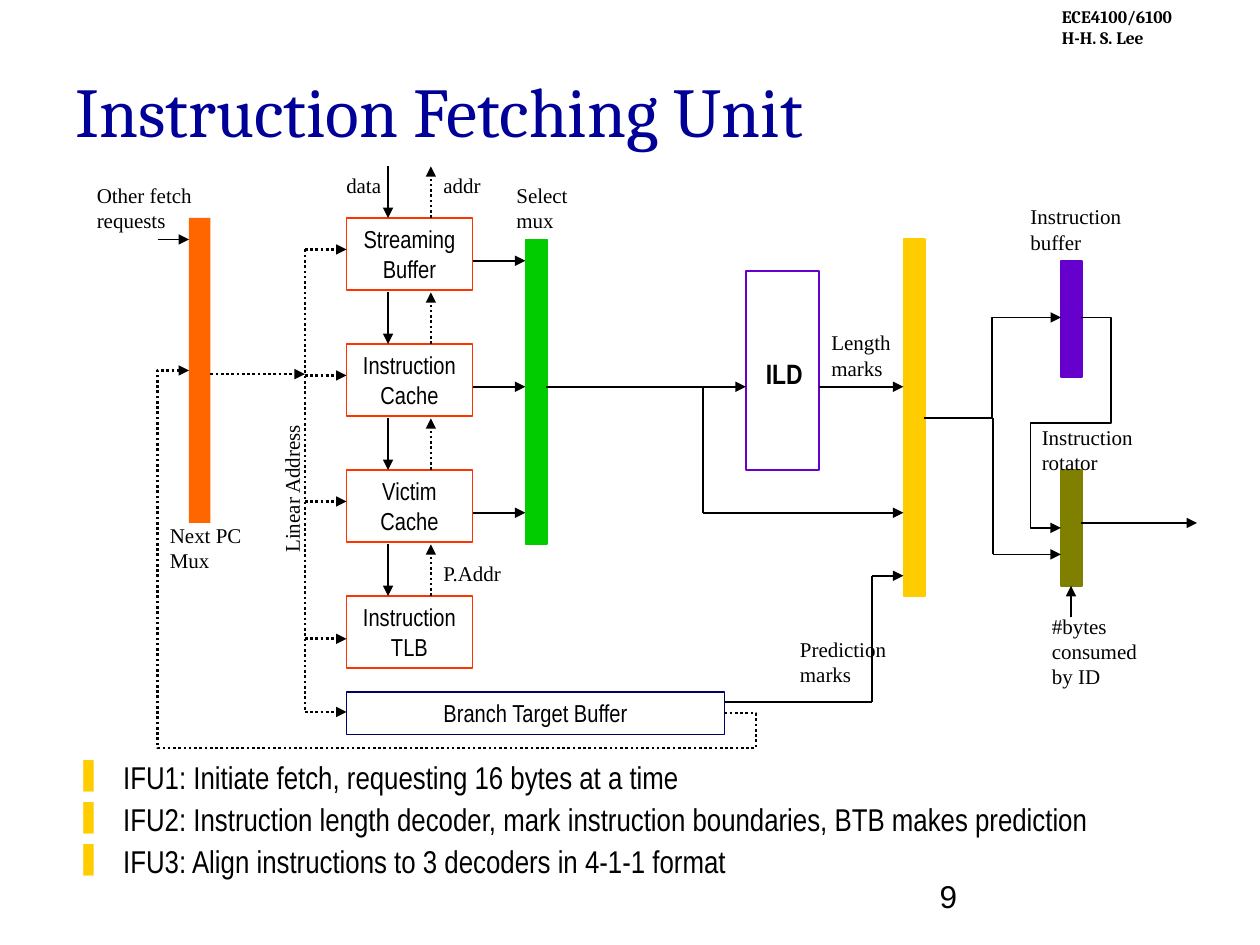
from dataclasses import dataclass
from typing import Any

from pptx import Presentation
from pptx.dml.color import RGBColor
from pptx.enum.dml import MSO_LINE_DASH_STYLE as Dash
from pptx.enum.shapes import MSO_CONNECTOR as Connector, MSO_SHAPE as Shape
from pptx.enum.text import MSO_ANCHOR as Anchor, MSO_AUTO_SIZE as AutoSize, PP_ALIGN as Align
from pptx.oxml.ns import qn
from pptx.oxml.xmlchemy import OxmlElement
from pptx.util import Inches, Pt

COLOURS = {
    "black": "000000", "title": "000099", "cache": "FF3300", "branch": "000066",
    "next_pc": "FF6600", "select": "00CC00", "gold": "FFCC00", "purple": "6600CC",
    "rotator": "808000",
}
FORMATS = {
    "header": {"name": "Cambria", "size": Pt(10), "bold": True},
    "title": {"name": "Cambria", "size": Pt(40)},
    "bullet": {"name": "Arial Narrow", "size": Pt(18)},
    "block": {"name": "Arial Narrow", "size": Pt(14)},
    "decoder": {"name": "Arial Narrow", "size": Pt(16), "bold": True},
    "label": {"name": "Times New Roman", "size": Pt(12)},
    "number": {"name": "Arial", "size": Pt(18)},
}
BAR = 0.17


def colour(name):
    return RGBColor.from_string(COLOURS[name])


def add_child(parent, tag, **attributes):
    child = OxmlElement(tag)
    for name, value in attributes.items():
        child.set(name, value)
    parent.append(child)
    return child


def write(shape, text, style, ink="black", wrap=True, grow=True, **layout):
    frame = shape.text_frame
    frame.text = text
    settings = {
        "word_wrap": wrap,
        "vertical_anchor": Anchor.TOP,
        "auto_size": AutoSize.SHAPE_TO_FIT_TEXT if grow else AutoSize.NONE,
    }
    for name, value in {**settings, **layout}.items():
        setattr(frame, name, value)
    for paragraph in frame.paragraphs:
        font = paragraph.runs[0].font
        font.color.rgb = colour(ink)
        for name, value in FORMATS[style].items():
            setattr(font, name, value)
    return frame


@dataclass
class Region:
    slide: Any
    left: float
    top: float

    def point(self, x, y):
        return Inches(self.left + x), Inches(self.top + y)

    def text(self, text, x, y, width, height, style="label", rotation=0, **options):
        box = self.slide.shapes.add_textbox(*self.point(x, y), Inches(width), Inches(height))
        box.rotation = rotation
        return write(box, text, style, **options)

    def block(self, x, y, width, height, fill=None, line=None, text=None):
        shape = self.slide.shapes.add_shape(
            Shape.RECTANGLE, *self.point(x, y), Inches(width), Inches(height))
        shape.shadow.inherit = False
        if fill:
            shape.fill.solid()
            shape.fill.fore_color.rgb = colour(fill)
        else:
            shape.fill.background()
        if line:
            shape.line.color.rgb = colour(line)
            shape.line.width = Pt(0.99)
        else:
            shape.line.fill.background()
        if text:
            frame = write(shape, text, "block")
            frame.paragraphs[0].alignment = Align.CENTER

    def wire(self, start, end, dotted=False, arrow=True, bends=()):
        kind = Connector.ELBOW if bends else Connector.STRAIGHT
        connector = self.slide.shapes.add_connector(kind, *self.point(*start), *self.point(*end))
        connector.line.color.rgb = colour("black")
        connector.line.width = Pt(1.5 if dotted else 0.99)
        if dotted:
            connector.line.dash_style = Dash.ROUND_DOT
        if arrow:
            add_child(connector.line._get_or_add_ln(), "a:tailEnd", type="triangle")
        properties = connector._element.spPr
        if bends:
            geometry = properties.find(qn("a:prstGeom"))
            geometry.set("prst", f"bentConnector{len(bends) + 2}")
            guides = geometry.find(qn("a:avLst"))
            for index, bend in enumerate(bends, 1):
                add_child(guides, "a:gd", name=f"adj{index}", fmla=f"val {round(bend * 100000)}")
        add_child(properties, "a:effectLst")


def add_headings(slide):
    page = Region(slide, 0, 0)
    page.text("ECE4100/6100\nH-H. S. Lee", 8.33, 0, 1.67, 0.44, "header")
    page.text("Instruction Fetching Unit", 0.5, 0.33, 8.5, 0.92, "title",
              ink="title", grow=False, vertical_anchor=Anchor.BOTTOM)
    page.text("9", 7.36, 6.81, 2.08, 0.5, "number", grow=False, vertical_anchor=Anchor.BOTTOM)


def add_bullets(slide, left, top, lines):
    frame = Region(slide, left, top).text("\n".join(lines), 0, 0, 9.17, 1.08, "bullet", grow=False)
    for paragraph in frame.paragraphs:
        paragraph.line_spacing = 0.9
        paragraph.space_before = Pt(4.5)
        properties = paragraph._p.get_or_add_pPr()
        properties.set("marL", str(Inches(0.38)))
        properties.set("indent", str(Inches(-0.38)))
        add_child(add_child(properties, "a:buClr"), "a:srgbClr", val=COLOURS["gold"])
        add_child(properties, "a:buChar", char="❚")


def add_fetch_sources(slide, left, top):
    region = Region(slide, left, top)
    for row, name in enumerate(
            ["Streaming Buffer", "Instruction Cache", "Victim Cache", "Instruction TLB"]):
        region.block(0.33, row + 0.41, 1, 0.57, line="cache", text=name)
        region.wire((1, row + 0.41), (1, row), dotted=True)
        region.wire((0.66, row), (0.66, row + 0.41))
        if row < 3:
            region.wire((1.33, row + 0.75), (1.75, row + 0.75))
    region.block(0.33, 4.17, 3, 0.34, line="branch", text="Branch Target Buffer")
    region.wire((0, 0.66), (0, 4.33), dotted=True, arrow=False)
    for y in (0.66, 1.66, 2.66, 3.75, 4.33):
        region.wire((0, y), (0.33, y), dotted=True)
    for text, x, y, width in [("data", 0.23, 0, 0.5), ("addr", 1, 0, 0.55),
                              ("P.Addr", 1, 3.08, 0.7)]:
        region.text(text, x, y, width, 0.3, wrap=False)
    region.text("Linear Address", -0.73, 2.39, 1.25, 0.3, rotation=270)


def add_next_pc(slide, left, top):
    region = Region(slide, left, top)
    region.block(0.83, 0.33, BAR, 2.42, fill="next_pc")
    region.text("Other fetch requests", 0, 0, 1.17, 0.5)
    region.text("Next PC\nMux", 0.58, 2.7, 0.77, 0.5, wrap=False)
    region.wire((0.58, 0.5), (0.83, 0.5))
    region.wire((1, 1.57), (1.75, 1.57), dotted=True)
    region.wire((5.08, 4.26), (0.83, 1.54), dotted=True, bends=(-0.059, -0.102, 1.059))


def add_length_decoder(slide, left, top):
    region = Region(slide, left, top)
    region.block(0.17, 0.5, BAR, 2.42, fill="select", line="select")
    region.block(1.92, 0.75, 0.58, 1.58, line="purple")
    region.block(3.17, 0.5, BAR, 2.83, fill="gold", line="gold")
    region.text("ILD", 1.98, 1.38, 0.49, 0.37, "decoder", wrap=False)
    for text, x, y, width in [("Select mux", 0, 0, 0.75), ("Length marks", 2.5, 1.17, 0.83),
                              ("Prediction marks", 2.25, 3.6, 0.92)]:
        region.text(text, x, y, width, 0.5)
    for start, end, arrow in [
            ((0.33, 1.67), (1.92, 1.67), True), ((2.5, 1.67), (3.17, 1.67), True),
            ((1.58, 2.67), (1.58, 1.67), False), ((1.58, 2.67), (3.17, 2.67), True),
            ((1.75, 4.17), (2.92, 4.17), False), ((2.92, 4.17), (2.92, 3.17), False),
            ((2.92, 3.17), (3.17, 3.17), True)]:
        region.wire(start, end, arrow=arrow)


def add_alignment(slide, left, top):
    region = Region(slide, left, top)
    for y, fill in [(0.5, "purple"), (2.16, "rotator")]:
        region.block(1.09, y, BAR, 0.92, fill=fill, line=fill)
    for text, x, y, height in [("Instruction buffer", 0.75, 0, 0.5),
                               ("Instruction rotator", 0.84, 1.75, 0.5),
                               ("#bytes consumed by ID", 0.92, 3.25, 0.7)]:
        region.text(text, x, y, 1, height)
    region.wire((1.25, 0.95), (1.09, 2.62), bends=(-1.5, 0.5, 2.5))
    region.wire((0, 1.75), (1.09, 0.95), bends=(0.5,))
    region.wire((0.55, 1.75), (0.55, 2.83), arrow=False)
    for start, end in [((0.55, 2.83), (1.09, 2.83)), ((1.25, 2.58), (2.17, 2.58)),
                       ((1.17, 3.33), (1.17, 3.08))]:
        region.wire(start, end)


presentation = Presentation()
presentation.slide_width, presentation.slide_height = Inches(10), Inches(7.5)
slide = presentation.slides.add_slide(presentation.slide_layouts[6])
add_headings(slide)
add_bullets(slide, 0.5, 6, [
    "IFU1: Initiate fetch, requesting 16 bytes at a time",
    "IFU2: Instruction length decoder, mark instruction boundaries, BTB makes prediction",
    "IFU3: Align instructions to 3 decoders in 4-1-1 format",
])
add_fetch_sources(slide, 2.42, 1.32)
add_next_pc(slide, 0.67, 1.4)
add_length_decoder(slide, 4, 1.4)
add_alignment(slide, 7.33, 1.57)
presentation.save("out.pptx")
